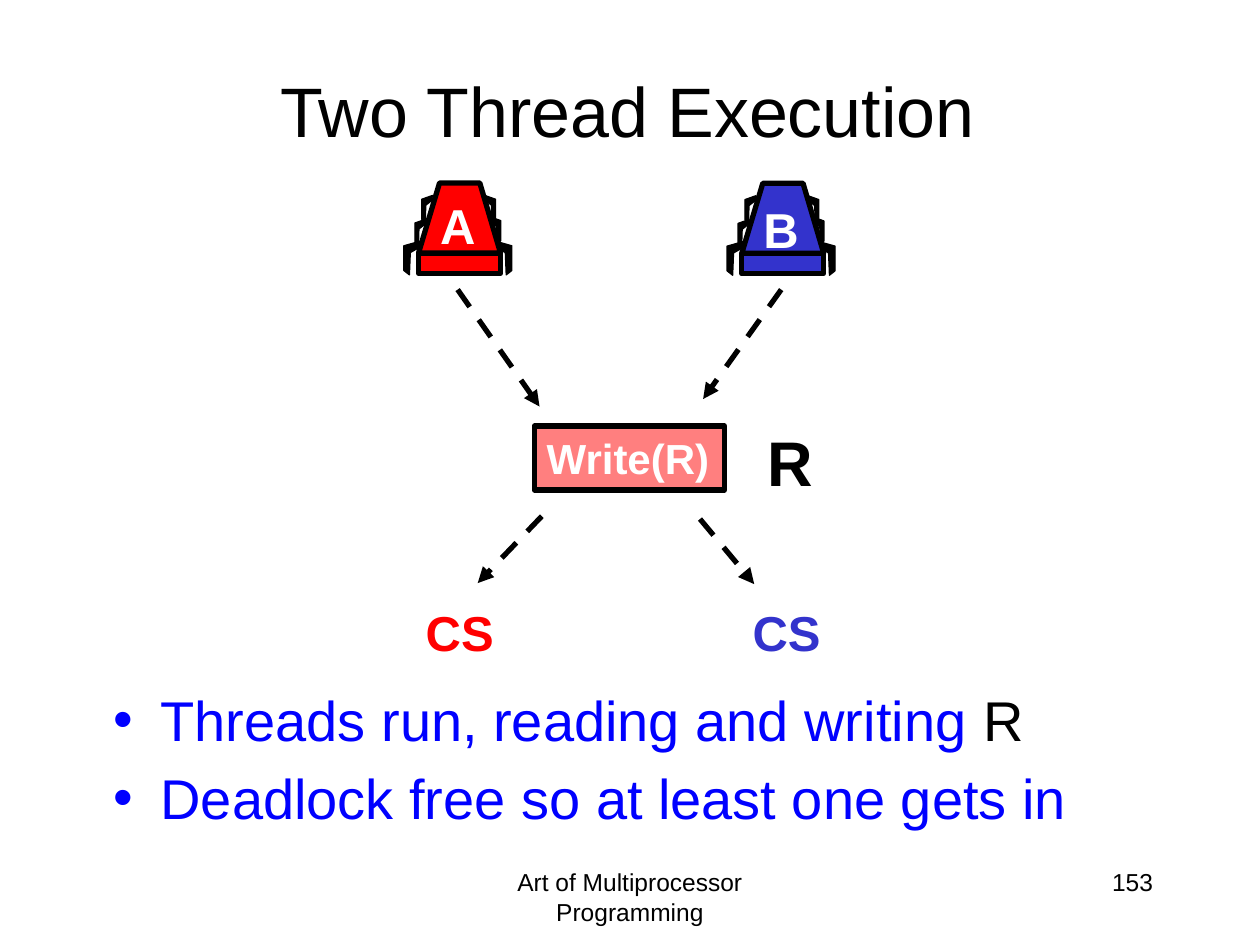
import pptx
import pptx.util
import pptx.dml.color
import pptx.enum.dml
import pptx.enum.shapes
import pptx.enum.text
import pptx.oxml
import pptx.oxml.ns
from lxml import etree

Pt = pptx.util.Pt
ALIGN = pptx.enum.text.PP_ALIGN
ANCHOR = pptx.enum.text.MSO_ANCHOR
RECT = pptx.enum.shapes.MSO_SHAPE.RECTANGLE

BLACK, WHITE, RED, BLUE, TEXT_BLUE = "000000", "FFFFFF", "FF0000", "3333CC", "0000FF"

LOWER_LEG = [(0, 0), (10.2, 2.9), (10.2, 17), (7, 19.5), (6.5, 6.8), (0.6, 3.4)]
UPPER_LEG = [(0, 0), (6.1, 2.2), (6.1, 13.7), (4.1, 15.6), (3.8, 5.6), (0.4, 2.9)]
BACK_LEGS = [
    (LOWER_LEG, 51.8, 33.1, 1),
    (UPPER_LEG, 49.5, 19.4, 1),
    (LOWER_LEG, 10.5, 33.1, -1),
    (UPPER_LEG, 12.7, 20.8, -1),
]
FRONT_LEGS = [(UPPER_LEG, 46.6, 7.2, 1), (UPPER_LEG, 16.6, 7.2, -1)]
TORSO = [(8.7, 40), (20.7, 0), (43.7, 0), (55.5, 40)]


def rgb(color):
    return pptx.dml.color.RGBColor.from_string(color)


def set_font(font, size, color, bold=False):
    font.name = "Arial"
    font.size = Pt(size)
    font.bold = bold
    font.color.rgb = rgb(color)


def paint(s, fill, width):
    s.shadow.inherit = False
    s.fill.solid()
    s.fill.fore_color.rgb = rgb(fill)
    s.line.color.rgb = rgb(BLACK)
    s.line.width = Pt(width)


def place(s, x, y, w, h):
    s.left, s.top, s.width, s.height = Pt(x), Pt(y), Pt(w), Pt(h)


def write(s, text, size, color, align, bold=True, wrap=False):
    tf = s.text_frame
    tf.word_wrap = wrap
    p = tf.paragraphs[0]
    p.text = text
    p.alignment = align
    set_font(p.font, size, color, bold)


def add_text(shapes, box, *args, **kwargs):
    write(shapes.add_textbox(*map(Pt, box)), *args, **kwargs)


def add_outline(shapes, points, x, y, fill, width, side=1):
    corners = [(Pt(x + side * dx), Pt(y + dy)) for dx, dy in points]
    builder = shapes.build_freeform(*corners[0], scale=1.0)
    builder.add_line_segments(corners[1:], close=True)
    paint(builder.convert_to_shape(), fill, width)


def add_legs(shapes, legs, x, y):
    for points, dx, dy, side in legs:
        add_outline(shapes, points, x + dx, y + dy, BLACK, 0.75, side)


def add_thread(slide, x, y, name, color, name_y):
    shapes = slide.shapes.add_group_shape().shapes
    add_legs(shapes, BACK_LEGS, x, y)
    add_outline(shapes, TORSO, x, y, color, 3)
    base = shapes.add_shape(RECT, Pt(x + 8.7), Pt(y + 40.2), Pt(46.8), Pt(11.5))
    paint(base, color, 3)
    add_legs(shapes, FRONT_LEGS, x, y)
    add_text(shapes, (x + 13.6, name_y, 35, 41), name, 28, WHITE, ALIGN.CENTER)


def add_arrow(slide, x1, y1, x2, y2):
    s = slide.shapes.add_connector(
        pptx.enum.shapes.MSO_CONNECTOR.STRAIGHT, Pt(x1), Pt(y1), Pt(x2), Pt(y2))
    s.line.color.rgb = rgb(BLACK)
    s.line.width = Pt(3)
    s.line.dash_style = pptx.enum.dml.MSO_LINE.DASH
    qn = pptx.oxml.ns.qn
    etree.SubElement(s.line._get_or_add_ln(), qn("a:tailEnd"), type="triangle")
    etree.SubElement(s._element.spPr, qn("a:effectLst"))


def add_register(slide):
    s = slide.shapes.add_shape(RECT, Pt(305.3), Pt(243.5), Pt(108.7), Pt(36.5))
    paint(s, RED, 3)
    qn = pptx.oxml.ns.qn
    color = s._element.spPr.find(qn("a:solidFill")).find(qn("a:srgbClr"))
    etree.SubElement(color, qn("a:alpha"), val="50000")
    write(s, "Write(R)", 24, WHITE, ALIGN.LEFT)


def fill_title(s, text):
    place(s, 52.5, 17.5, 612, 90)
    write(s, text, 40, BLACK, ALIGN.CENTER, bold=False, wrap=True)
    s.text_frame.vertical_anchor = ANCHOR.MIDDLE


def fill_bullets(s, items):
    place(s, 57.5, 388, 612, 98.5)
    tf = s.text_frame
    tf.auto_size = pptx.enum.text.MSO_AUTO_SIZE.NONE
    for i, runs in enumerate(items):
        p = tf.add_paragraph() if i else tf.paragraphs[0]
        p.space_before = Pt(6.4 if i else 0)
        for text, color in runs:
            r = p.add_run()
            r.text = text
            set_font(r.font, 32, color)


def main():
    prs = pptx.Presentation()
    prs.slide_width, prs.slide_height = Pt(720), Pt(540)
    slide = prs.slides.add_slide(prs.slide_layouts[1])
    shapes = slide.shapes

    fill_title(shapes.title, "Two Thread Execution")
    fill_bullets(slide.placeholders[1], [
        [("Threads run, reading and writing ", TEXT_BLUE), ("R", BLACK)],
        [("Deadlock free so at least one gets in", TEXT_BLUE)],
    ])
    add_text(shapes, (246, 492, 228, 36), "Art of Multiprocessor Programming",
             14, BLACK, ALIGN.CENTER, bold=False, wrap=True)
    add_text(shapes, (516, 492, 150, 36), "153",
             14, BLACK, ALIGN.RIGHT, bold=False, wrap=True)

    add_thread(slide, 230.5, 104.5, "A", RED, 108)
    add_thread(slide, 415.2, 104.7, "B", BLUE, 110.7)
    for ends in [
        (261.5, 165.5, 308.3, 232.3),
        (446.4, 165.5, 401.8, 228),
        (400, 296.6, 431, 333.8),
        (309.6, 295, 273, 333.2),
    ]:
        add_arrow(slide, *ends)

    add_register(slide)
    add_text(shapes, (431.3, 238.3, 41, 51), "R", 36, BLACK, ALIGN.LEFT)
    for x, color in [(235.2, RED), (422, BLUE)]:
        add_text(shapes, (x, 340.5, 54, 41), "CS", 28, color, ALIGN.RIGHT)

    prs.save("out.pptx")


if __name__ == "__main__":
    main()
